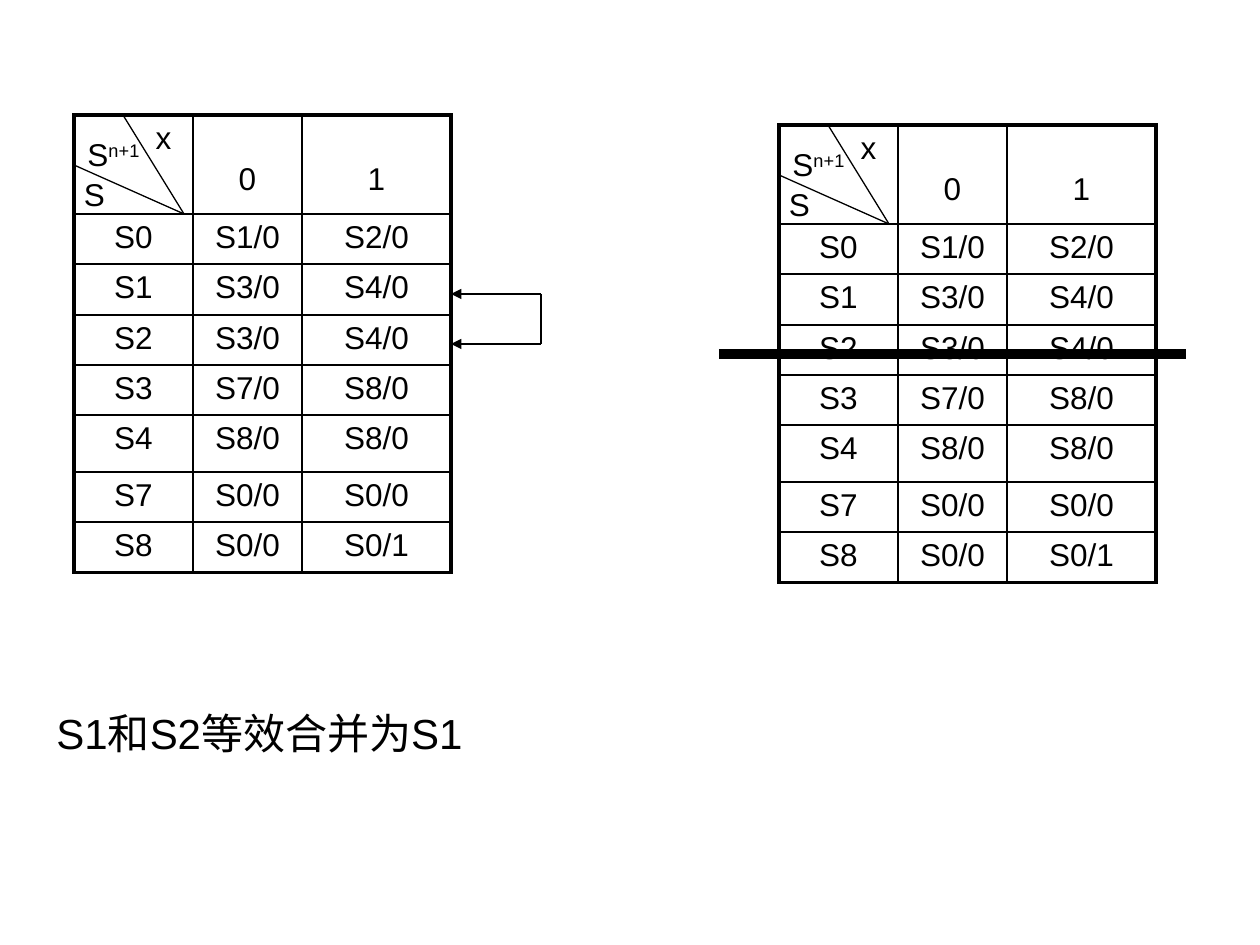
from pptx import Presentation
from pptx.dml.color import RGBColor
from pptx.enum.shapes import MSO_CONNECTOR as Connector
from pptx.enum.text import MSO_ANCHOR as Anchor, PP_ALIGN as Align
from pptx.oxml import parse_xml
from pptx.oxml.ns import nsdecls
from pptx.util import Emu, Pt

BLACK = RGBColor(0, 0, 0)
PX_PER_INCH = 126
THIN, THICK = 1, 2.25

COLUMNS = [119, 109, 149]
ROWS = [99, 50, 51, 50, 50, 57, 50, 51]
STATES = [
    ["x", "0", "1"],
    ["S0", "S1/0", "S2/0"],
    ["S1", "S3/0", "S4/0"],
    ["S2", "S3/0", "S4/0"],
    ["S3", "S7/0", "S8/0"],
    ["S4", "S8/0", "S8/0"],
    ["S7", "S0/0", "S0/0"],
    ["S8", "S0/0", "S0/1"],
]


def px(length):
    return Emu(round(length * 914400 / PX_PER_INCH))


def apply(target, values):
    for name, value in values.items():
        setattr(target, name, value)


def add_span(para, text, size=18):
    span = para.add_run()
    span.text = text
    apply(span.font, {"name": "Arial", "size": Pt(size)})
    span.font.color.rgb = BLACK
    return span


def add_text(page, left, top, width, height, text, **frame_values):
    box = page.shapes.add_textbox(px(left), px(top), px(width), px(height))
    apply(box.text_frame, frame_values)
    para = box.text_frame.paragraphs[0]
    return para, add_span(para, text)


def add_line(page, start, end, width=0.75, arrow=False):
    line = page.shapes.add_connector(
        Connector.STRAIGHT, *[px(value) for value in (*start, *end)])
    line.line.color.rgb = BLACK
    line.line.width = Pt(width)
    if arrow:
        line.line._get_or_add_ln().append(
            parse_xml(f'<a:tailEnd {nsdecls("a")} type="triangle"/>'))
    line._element.spPr.append(parse_xml(f'<a:effectLst {nsdecls("a")}/>'))


def set_borders(cell, widths):
    properties = cell._tc.get_or_add_tcPr()
    for position, (side, width) in enumerate(widths.items()):
        properties.insert(position, parse_xml(
            f'<a:ln{side} {nsdecls("a")} w="{Pt(width)}"><a:solidFill>'
            f'<a:srgbClr val="{BLACK}"/></a:solidFill></a:ln{side}>'))


def add_corner(page, left, top):
    """Diagonals and labels inside the first header cell."""
    tip = (left + 110, top + 99)
    add_line(page, (left, top + 50), tip)
    add_line(page, (left + 49, top), tip)
    bare = dict.fromkeys(
        ["margin_left", "margin_top", "margin_right", "margin_bottom"], 0)
    para, _ = add_text(page, left + 10, top + 20, 59, 38, "S",
                       word_wrap=False, **bare)
    para.alignment = Align.CENTER
    power = add_span(para, "n+1")
    power._r.get_or_add_rPr().set("baseline", "30000")
    para, _ = add_text(page, left + 10, top + 60, 20, 38, "S",
                       word_wrap=False, **bare)
    para.alignment = Align.CENTER


def add_state_table(page, left, top):
    last_row, last_column = len(ROWS) - 1, len(COLUMNS) - 1
    table = page.shapes.add_table(
        len(ROWS), len(COLUMNS), px(left), px(top),
        px(sum(COLUMNS)), px(sum(ROWS))).table
    apply(table, {"first_row": False, "horz_banding": False})
    for column, width in zip(table.columns, COLUMNS):
        column.width = px(width)
    for row, height in zip(table.rows, ROWS):
        row.height = px(height)

    for r, values in enumerate(STATES):
        for c, text in enumerate(values):
            cell = table.cell(r, c)
            cell.fill.background()
            # Header digits sit low; the x sits right of the diagonal
            apply(cell, {
                "vertical_anchor": Anchor.TOP,
                "margin_left": px(73 if (r, c) == (0, 0) else 13),
                "margin_right": px(13),
                "margin_top": px(47 if r == 0 and c > 0 else 6),
                "margin_bottom": px(6),
            })
            para = cell.text_frame.paragraphs[0]
            para.alignment = Align.CENTER
            add_span(para, text)
            set_borders(cell, {
                "L": THICK if c == 0 else THIN,
                "R": THICK if c == last_column else THIN,
                "T": THICK if r == 0 else THIN,
                "B": THICK if r == last_row else THIN,
            })
    add_corner(page, left, top)


def add_merge_bracket(page, left, top, width, height):
    """Arrows that tie the two equivalent rows together."""
    right, bottom = left + width, top + height
    for y in (top, bottom):
        add_line(page, (right, y), (left, y), arrow=True)
    add_line(page, (right, top), (right, bottom))


def add_caption(page, left, top, width, height):
    _, span = add_text(page, left, top, width, height,
                       "S1和S2等效合并为S1", word_wrap=True)
    span.font.size = Pt(24)


def main():
    deck = Presentation()
    apply(deck, {"slide_width": px(1260), "slide_height": px(945)})
    page = deck.slides.add_slide(deck.slide_layouts[6])

    # Full table with the equivalent states marked
    add_state_table(page, 74, 115)
    add_merge_bracket(page, 451, 294, 90, 50)
    add_caption(page, 44, 701, 476, 63)

    # Same table with state S2 struck out
    add_state_table(page, 779, 125)
    add_line(page, (719, 354), (1186, 354), width=6)

    deck.save("out.pptx")


if __name__ == "__main__":
    main()
